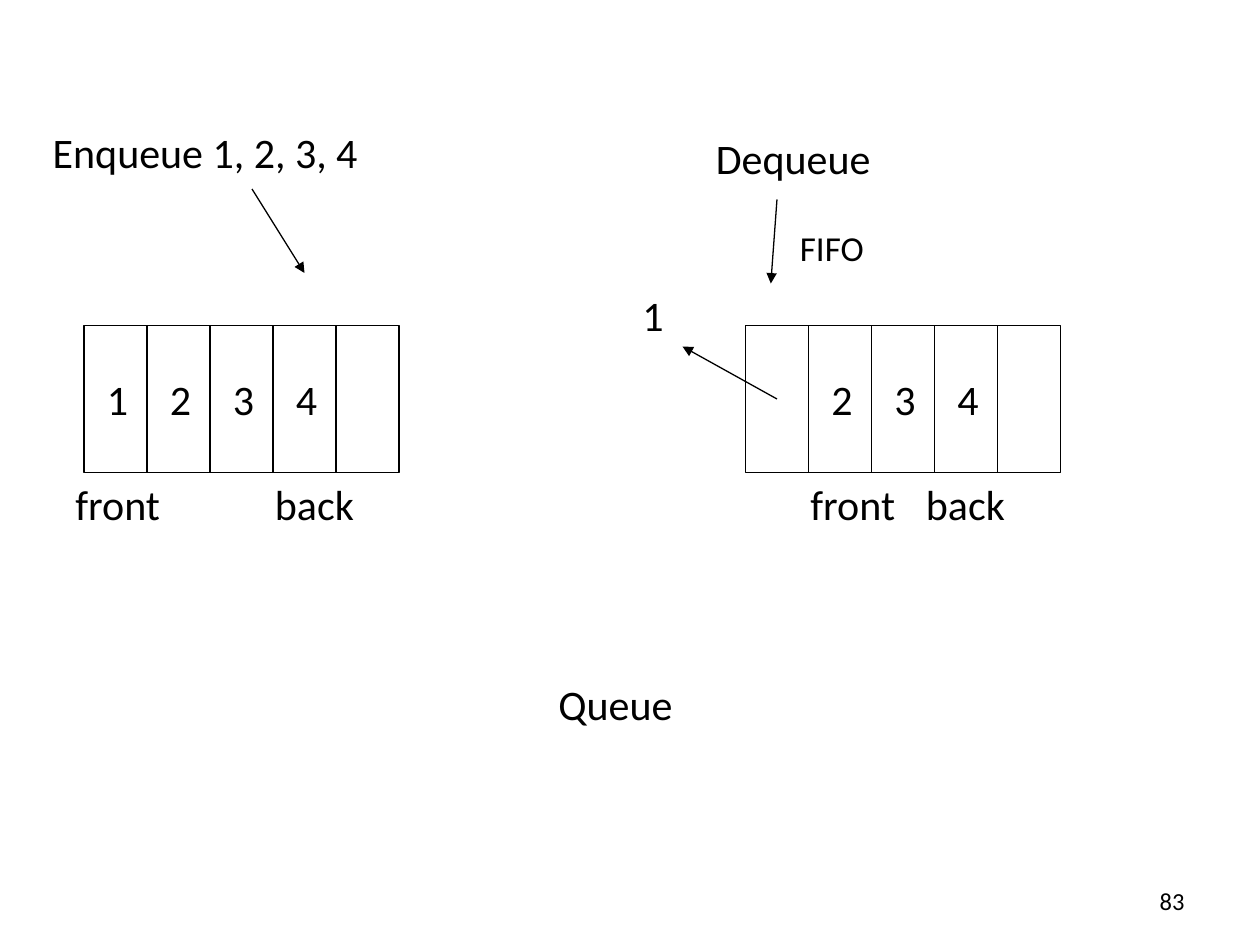
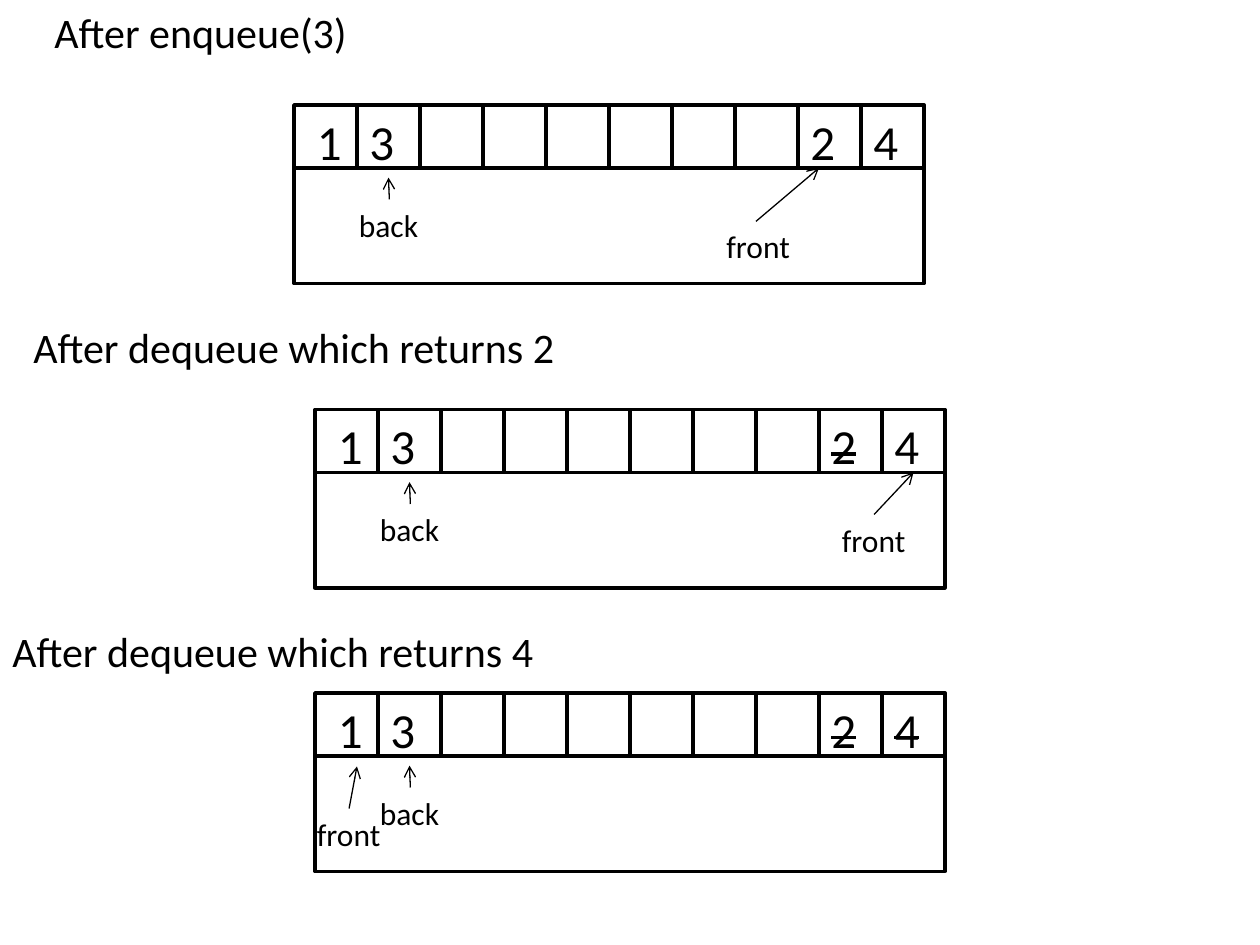
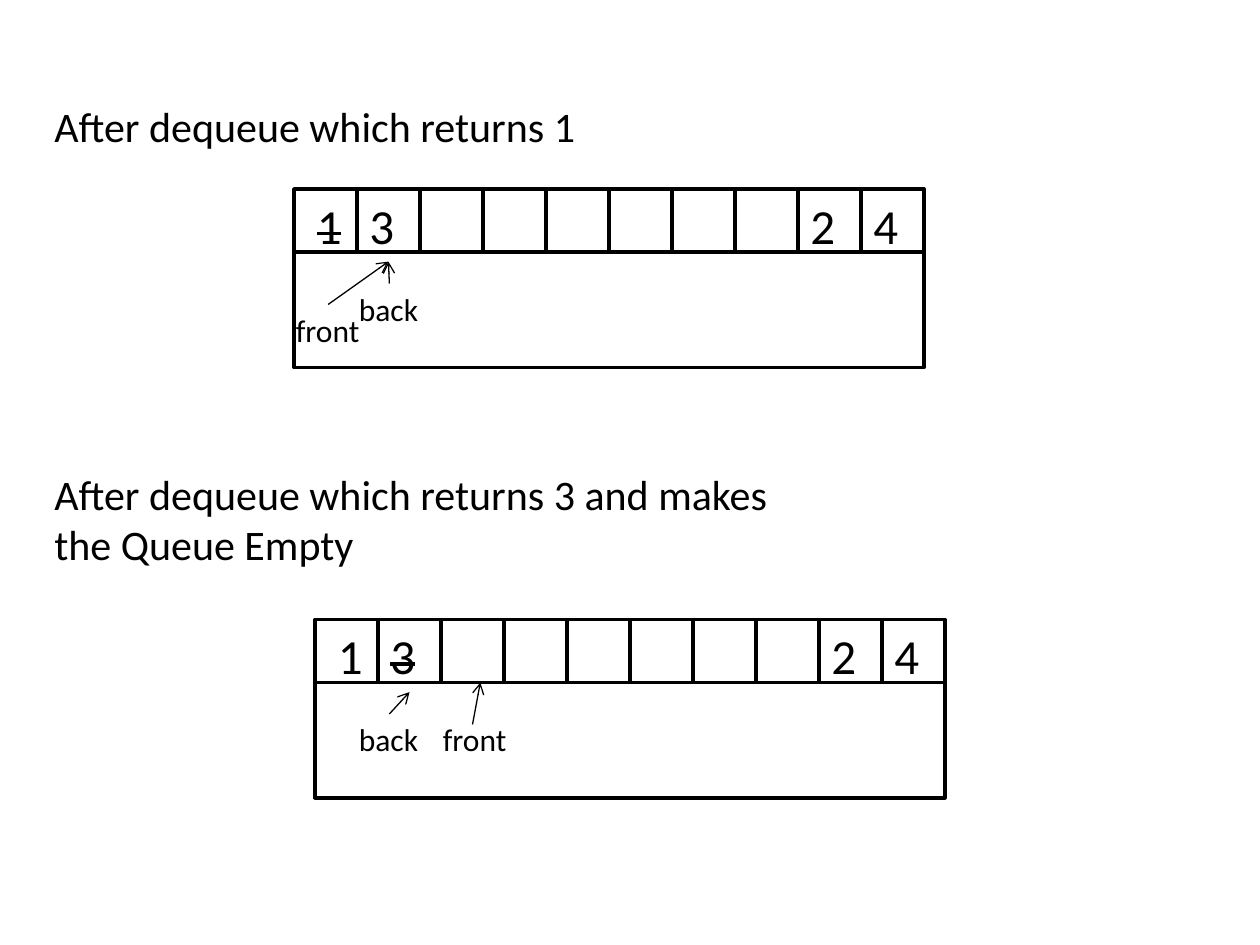
from dataclasses import dataclass
from typing import Any

import pptx
import pptx.dml.color
import pptx.enum.shapes
import pptx.enum.text
import pptx.oxml.ns
import pptx.util
from lxml import etree
from pptx.util import Pt

Point = tuple[float, float]
ALIGN = pptx.enum.text.PP_ALIGN
ANCHOR = pptx.enum.text.MSO_ANCHOR


@dataclass(frozen=True)
class Theme:
    font: str = "Calibri"
    ink: pptx.dml.color.RGBColor = pptx.dml.color.RGBColor(0, 0, 0)
    page_number: float = 14
    pointer: float = 18
    note: float = 20
    label: float = 24
    digit: float = 28
    thin: float = 0.75
    thick: float = 2


THEME = Theme()
CELL = 36
QUEUE_HEIGHT = 84
QUEUE_CELLS = 5
ARRAY_CELLS = 10
ARRAY_BODY = 66
ARRAY_VALUES = {0: "1", 1: "3", 8: "2", 9: "4"}
FRONT_WIDTH = 51
BACK_WIDTH = 49


@dataclass(frozen=True)
class Label:
    text: str
    left: float
    top: float
    width: float
    size: float = THEME.label
    wrap: bool = False


@dataclass(frozen=True)
class Arrow:
    start: Point
    end: Point


@dataclass(frozen=True)
class Queue:
    left: float
    top: float
    values: dict[int, str]


@dataclass(frozen=True)
class Pointer:
    """Named arrow; places are relative to the array, the tail defaults to the label's top centre."""
    name: str
    width: float
    label: Point
    tip: Point
    tail: Point | None = None


@dataclass(frozen=True)
class CircularArray:
    left: float
    top: float
    struck: str
    pointers: tuple[Pointer, ...]


def add_text(shapes: Any, text: str, left: float, top: float, width: float, height: float, *,
             size: float = THEME.label, wrap: bool = False, strike: bool = False, grow: bool = True,
             align: ALIGN = ALIGN.LEFT, anchor: ANCHOR = ANCHOR.TOP) -> None:
    box = shapes.add_textbox(Pt(left), Pt(top), Pt(width), Pt(height))
    frame = box.text_frame
    frame.word_wrap = wrap
    frame.vertical_anchor = anchor
    if grow:
        frame.auto_size = pptx.enum.text.MSO_AUTO_SIZE.SHAPE_TO_FIT_TEXT
    para = frame.paragraphs[0]
    para.alignment = align
    span = para.add_run()
    span.text = text
    span.font.name = THEME.font
    span.font.size = Pt(size)
    span.font.color.rgb = THEME.ink
    if strike:
        span.font._element.set("strike", "sngStrike")


def add_label(shapes: Any, label: Label) -> None:
    add_text(shapes, label.text, label.left, label.top, label.width, 1.2 * label.size + 7.2,
             size=label.size, wrap=label.wrap)


def add_frame(shapes: Any, left: float, top: float, width: float, height: float, weight: float) -> None:
    frame = shapes.add_shape(pptx.enum.shapes.MSO_SHAPE.RECTANGLE, Pt(left), Pt(top), Pt(width), Pt(height))
    frame.shadow.inherit = False
    frame.fill.background()
    frame.line.color.rgb = THEME.ink
    frame.line.width = Pt(weight)


def add_line(shapes: Any, start: Point, end: Point, head: str | None = None) -> None:
    line = shapes.add_connector(pptx.enum.shapes.MSO_CONNECTOR.STRAIGHT,
                                Pt(start[0]), Pt(start[1]), Pt(end[0]), Pt(end[1]))
    line.line.color.rgb = THEME.ink
    line.line.width = Pt(THEME.thin)
    properties = line._element.spPr
    if head:
        stroke = properties.find(pptx.oxml.ns.qn("a:ln"))
        etree.SubElement(stroke, pptx.oxml.ns.qn("a:tailEnd"), type=head)
    etree.SubElement(properties, pptx.oxml.ns.qn("a:effectLst"))


def add_queue(shapes: Any, queue: Queue) -> None:
    add_frame(shapes, queue.left, queue.top, QUEUE_CELLS * CELL, QUEUE_HEIGHT, THEME.thin)
    for index in range(1, QUEUE_CELLS):
        x = queue.left + index * CELL
        add_line(shapes, (x, queue.top), (x, queue.top + QUEUE_HEIGHT))
    for index, value in queue.values.items():
        add_label(shapes, Label(value, queue.left + index * CELL + 6, queue.top + 24, 26.6))


def add_array(shapes: Any, array: CircularArray) -> None:
    group = shapes.add_group_shape().shapes
    for index in range(ARRAY_CELLS):
        add_frame(group, array.left + index * CELL, array.top, CELL, CELL, THEME.thick)
    for index, value in ARRAY_VALUES.items():
        inset = 6 if index == 0 else 0
        add_text(group, value, array.left + index * CELL + inset, array.top, CELL - inset, 41,
                 size=THEME.digit, wrap=True, strike=value in array.struck)
    add_frame(group, array.left, array.top + CELL, ARRAY_CELLS * CELL, ARRAY_BODY, THEME.thick)
    for pointer in array.pointers:
        x, y = pointer.label
        tail = pointer.tail or (x + pointer.width / 2, y)
        add_label(group, Label(pointer.name, array.left + x, array.top + y, pointer.width, THEME.pointer))
        add_line(group, (array.left + tail[0], array.top + tail[1]),
                 (array.left + pointer.tip[0], array.top + pointer.tip[1]), "arrow")


def front(label: Point, tip: Point, tail: Point | None = None) -> Pointer:
    return Pointer("front", FRONT_WIDTH, label, tip, tail)


def back(left: float = 30) -> Pointer:
    return Pointer("back", BACK_WIDTH, (left, 54), (54, 41.5))


def heading(text: str, left: float, top: float, width: float = 432) -> Label:
    return Label(text, left, top, width, wrap=True)


QUEUES = (
    Queue(48, 186, {0: "1", 1: "2", 2: "3", 3: "4"}),
    Queue(426, 186, {1: "2", 2: "3", 3: "4"}),
)
QUEUE_LABELS = (
    Label("Enqueue 1, 2, 3, 4", 23, 69, 190),
    Label("Dequeue", 402, 72, 104),
    Label("FIFO", 450, 126, 51, THEME.note),
    Label("1", 360, 162, 26.6),
    Label("front", 36, 270, 63),
    Label("back", 150, 270, 60),
    Label("front", 456, 270, 63),
    Label("back", 522, 270, 60),
    Label("Queue", 312, 384, 81),
)
QUEUE_ARROWS = (
    Arrow((144, 108), (174, 156)),
    Arrow((444, 114), (440.5, 162)),
    Arrow((444, 228), (390, 198)),
)
ARRAY_SLIDES = (
    (
        (heading("After enqueue(3)", 24, 0, 192),
         CircularArray(168, 60, "", (front((240, 66), (300, 36), (264, 66.5)), back()))),
        (heading("After dequeue which returns 2", 12, 180),
         CircularArray(180, 234, "2", (front((294, 60), (342, 36)), back()))),
        (heading("After dequeue which returns 4", 0, 354),
         CircularArray(180, 396, "24", (front((-6, 66), (24, 42)), back()))),
    ),
    (
        (heading("After dequeue which returns 1", 24, 54),
         CircularArray(168, 108, "1", (front((-6, 66), (54, 41.5)), back()))),
        (heading("After dequeue which returns 3 and makes the Queue Empty", 24, 264),
         CircularArray(180, 354, "3", (front((66, 54), (94.5, 36), (90, 60)), back(18)))),
    ),
)


def main() -> None:
    deck = pptx.Presentation()
    deck.slide_width, deck.slide_height = Pt(720), Pt(540)
    blank = deck.slide_layouts[6]

    shapes = deck.slides.add_slide(blank).shapes
    for queue in QUEUES:
        add_queue(shapes, queue)
    for label in QUEUE_LABELS:
        add_label(shapes, label)
    for arrow in QUEUE_ARROWS:
        add_line(shapes, arrow.start, arrow.end, "triangle")
    add_text(shapes, "83", 516, 500.5, 168, 28.5, size=THEME.page_number, wrap=True, grow=False,
             align=ALIGN.RIGHT, anchor=ANCHOR.MIDDLE)

    for steps in ARRAY_SLIDES:
        shapes = deck.slides.add_slide(blank).shapes
        for title, array in steps:
            add_label(shapes, title)
            add_array(shapes, array)

    deck.save("out.pptx")


if __name__ == "__main__":
    main()
